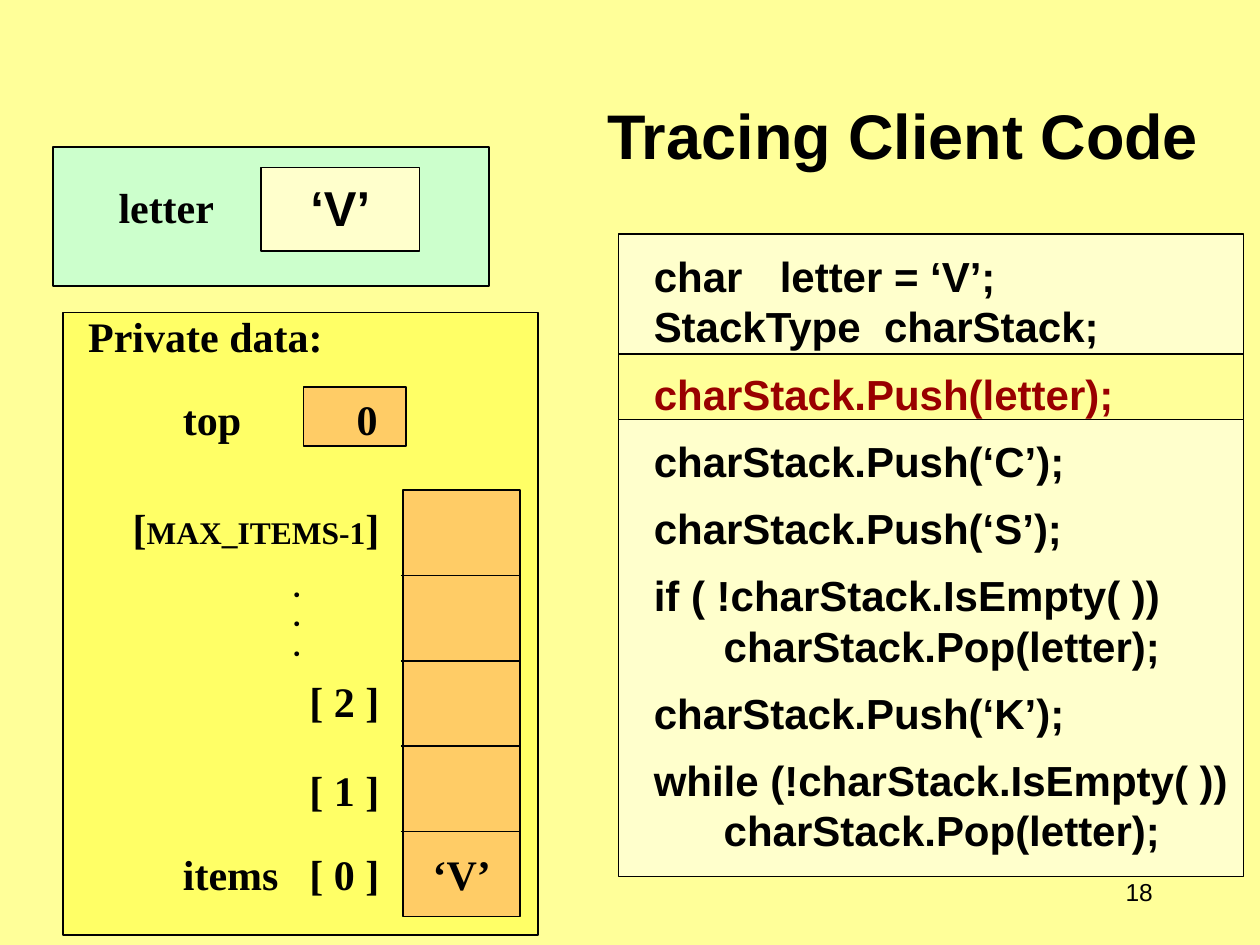
from dataclasses import dataclass

from lxml.etree import SubElement
from pptx import Presentation
from pptx.dml.color import RGBColor
from pptx.enum.shapes import MSO_CONNECTOR, MSO_SHAPE
from pptx.enum.text import MSO_ANCHOR, MSO_AUTO_SIZE, PP_ALIGN
from pptx.oxml.ns import qn
from pptx.util import Cm, Pt


@dataclass(frozen=True)
class Theme:
    paper: str = "FFFF99"
    ink: str = "000000"
    accent: str = "990000"
    cream: str = "FFFFCC"
    mint: str = "CCFFCC"
    yellow: str = "FFFF66"
    orange: str = "FFCC66"
    sans: str = "Arial"
    serif: str = "Times New Roman"
    dots: str = "Montserrat"
    title_size: int = 36
    value_size: int = 28
    text_size: int = 24
    small_size: int = 18
    note_size: int = 14


THEME = Theme()

CODE_LINES = [
    ("char\tletter = ‘V’;", False, False),
    ("StackType  charStack;", False, False),
    ("charStack.Push(letter);", True, False),
    ("charStack.Push(‘C’);", True, False),
    ("charStack.Push(‘S’);", True, False),
    ("if ( !charStack.IsEmpty( ))", True, False),
    ("charStack.Pop(letter);", False, True),
    ("charStack.Push(‘K’);", True, False),
    ("while (!charStack.IsEmpty( ))", True, False),
    ("charStack.Pop(letter);", False, True),
]
CURRENT_LINE = 2


def add_span(para, text, size=THEME.text_size, font=THEME.serif, color=THEME.ink, bold=True):
    span = para.add_run()
    span.text = text
    span.font.size = Pt(size)
    span.font.name = font
    span.font.bold = bold
    span.font.color.rgb = RGBColor.from_string(color)


def add_panel(shapes, left, top, width, height, color):
    panel = shapes.add_shape(MSO_SHAPE.RECTANGLE, Cm(left), Cm(top), Cm(width), Cm(height))
    panel.shadow.inherit = False
    panel.fill.solid()
    panel.fill.fore_color.rgb = RGBColor.from_string(color)
    panel.line.color.rgb = RGBColor.from_string(THEME.ink)
    panel.line.width = Pt(1)


def add_rule(shapes, left, right, height):
    rule = shapes.add_connector(MSO_CONNECTOR.STRAIGHT, Cm(left), Cm(height), Cm(right), Cm(height))
    rule.line.color.rgb = RGBColor.from_string(THEME.ink)
    rule.line.width = Pt(1)
    SubElement(rule._element.spPr, qn("a:effectLst"))


def add_text_box(page, left, top, width, height, anchor=MSO_ANCHOR.MIDDLE):
    box = page.shapes.add_textbox(Cm(left), Cm(top), Cm(width), Cm(height))
    frame = box.text_frame
    frame.word_wrap = True
    frame.vertical_anchor = anchor
    frame.margin_left = frame.margin_right = frame.margin_top = frame.margin_bottom = 0
    return frame


def add_label(page, left, middle, width, spans, align=PP_ALIGN.LEFT, **style):
    height = 1.2
    para = add_text_box(page, left, middle - height / 2, width, height).paragraphs[0]
    para.alignment = align
    for text, size in spans:
        add_span(para, text, size, **style)


def add_title(page):
    title = page.shapes.title
    title.left, title.top, title.width, title.height = Cm(11), Cm(0.41), Cm(14.4), Cm(3.18)
    frame = title.text_frame
    frame.auto_size = MSO_AUTO_SIZE.NONE
    frame.vertical_anchor = MSO_ANCHOR.BOTTOM
    para = frame.paragraphs[0]
    para.alignment = PP_ALIGN.CENTER
    add_span(para, "Tracing Client Code", THEME.title_size, THEME.sans)


def add_code(page):
    add_panel(page.shapes, 12.47, 4.72, 12.6, 12.95, THEME.cream)
    add_panel(page.shapes, 12.47, 7.14, 12.6, 1.32, THEME.paper)
    frame = add_text_box(page, 13.18, 5.05, 11.85, 12.2, MSO_ANCHOR.TOP)
    for index, (text, starts_step, indented) in enumerate(CODE_LINES):
        para = frame.add_paragraph() if index else frame.paragraphs[0]
        para.line_spacing = Pt(28.8)
        para.space_before = Pt(9.6 if starts_step else 0)
        if indented:
            para._p.get_or_add_pPr().set("marL", str(Cm(1.41)))
        color = THEME.accent if index == CURRENT_LINE else THEME.ink
        add_span(para, text, font=THEME.sans, color=color)


def add_letter(page):
    add_panel(page.shapes, 1.07, 2.97, 8.79, 2.79, THEME.mint)
    add_panel(page.shapes, 5.26, 3.38, 3.2, 1.68, THEME.cream)
    add_label(page, 2.39, 4.17, 2.4, [("letter", THEME.text_size)])
    add_label(page, 5.26, 4.18, 3.2, [("‘V’", THEME.value_size)],
              PP_ALIGN.CENTER, font=THEME.sans)


def add_stack(page):
    left, top, width, cell = 8.13, 9.88, 2.36, 1.72
    stack = page.shapes.add_group_shape().shapes
    add_panel(stack, left, top, width, 5 * cell, THEME.orange)
    for index in range(1, 5):
        add_rule(stack, left - 0.05, left + width, top + index * cell)
    add_label(page, left, 17.62, width, [("‘V’", THEME.text_size)], PP_ALIGN.CENTER)


def add_private_data(page):
    size = THEME.text_size
    add_panel(page.shapes, 1.27, 6.3, 9.58, 12.55, THEME.yellow)
    add_panel(page.shapes, 6.12, 7.8, 2.06, 1.19, THEME.orange)
    add_stack(page)
    for text, left, middle, width in [
        ("Private data:", 1.78, 6.76, 6),
        ("top", 3.69, 8.45, 2),
        ("0", 7.19, 8.45, 0.8),
        ("items", 3.69, 17.62, 2.4),
    ]:
        add_label(page, left, middle, width, [(text, size)])
    for spans, middle in [
        ([("[", size), ("MAX_ITEMS-1", THEME.small_size), ("]", size)], 10.64),
        ([("[ 2 ]", size)], 14.13),
        ([("[ 1 ]", size)], 15.91),
        ([("[ 0 ]", size)], 17.62),
    ]:
        add_label(page, 2.2, middle, 5.45, spans, PP_ALIGN.RIGHT)
    frame = add_text_box(page, 5.92, 11.54, 0.5, 1.8)
    for index in range(3):
        para = frame.add_paragraph() if index else frame.paragraphs[0]
        add_span(para, ".", THEME.note_size, THEME.dots)


def main():
    deck = Presentation()
    deck.slide_width, deck.slide_height = Cm(25.4), Cm(19.05)
    page = deck.slides.add_slide(deck.slide_layouts[5])
    page.background.fill.solid()
    page.background.fill.fore_color.rgb = RGBColor.from_string(THEME.paper)
    add_code(page)
    add_title(page)
    add_private_data(page)
    add_letter(page)
    add_label(page, 21.79, 17.98, 1.45, [("18", THEME.note_size)],
              PP_ALIGN.RIGHT, font=THEME.sans, bold=False)
    deck.save("out.pptx")


main()
